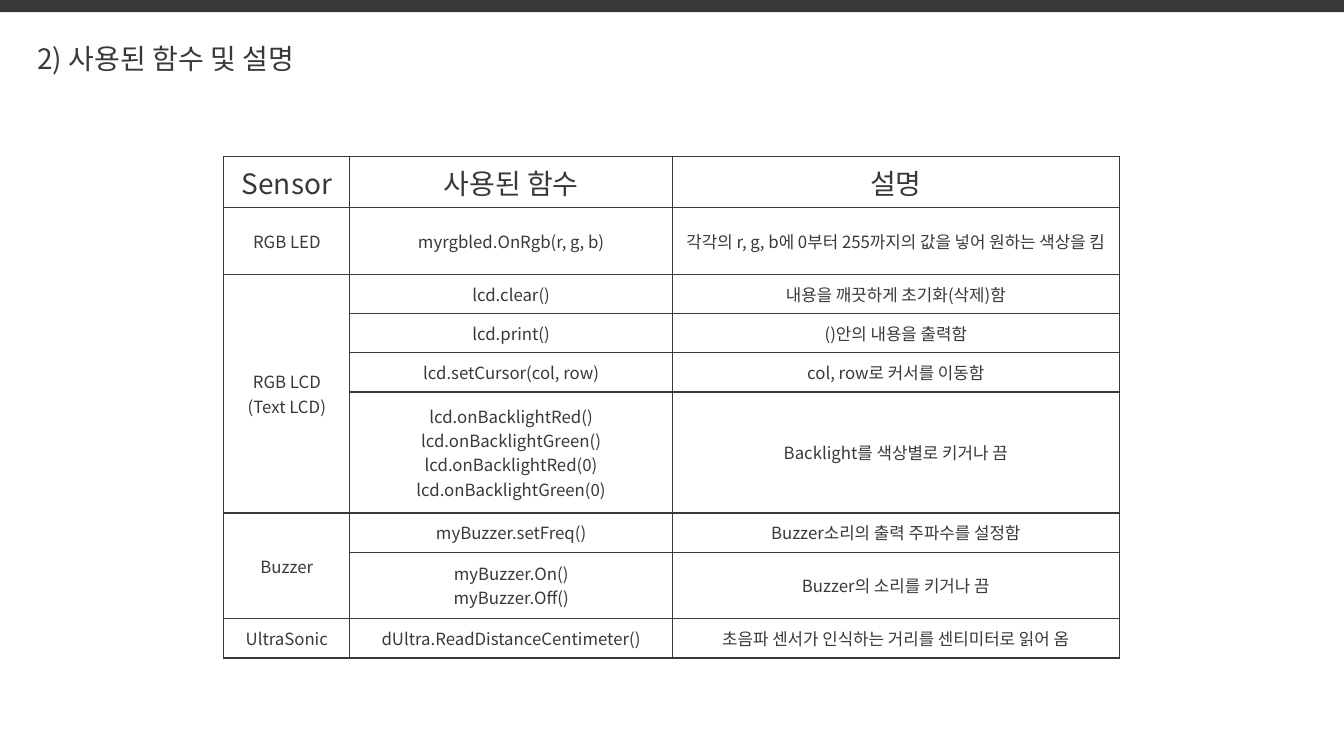
import pptx
import pptx.util
import pptx.dml.color
import pptx.enum.shapes
import pptx.enum.text
import lxml.etree
from pptx.oxml.ns import qn

INK = pptx.dml.color.RGBColor(0x3A, 0x38, 0x38)
FONT = "Noto Sans CJK KR"
Inch = pptx.util.Inches
Align = pptx.enum.text.PP_ALIGN
Anchor = pptx.enum.text.MSO_ANCHOR


def style(para, size, align):
    para.alignment = align
    para.font.size = pptx.util.Pt(size)
    para.font.color.rgb = INK
    para.font.name = FONT
    east = lxml.etree.SubElement(para.font._element, qn("a:ea"))
    east.set("typeface", FONT)


def border(cell):
    props = cell._tc.get_or_add_tcPr()
    for spot, side in enumerate(("lnL", "lnR", "lnT", "lnB")):
        line = lxml.etree.Element(qn("a:" + side), w=str(pptx.util.Pt(1)))
        fill = lxml.etree.SubElement(line, qn("a:solidFill"))
        lxml.etree.SubElement(fill, qn("a:srgbClr"), val=str(INK))
        props.insert(spot, line)


deck = pptx.Presentation()
deck.slide_width, deck.slide_height = Inch(13.33), Inch(7.5)
slide = deck.slides.add_slide(deck.slide_layouts[5])

# Top band
band = slide.shapes.add_shape(
    pptx.enum.shapes.MSO_SHAPE.RECTANGLE, 0, 0, deck.slide_width, Inch(0.12))
band.shadow.inherit = False
band.fill.solid()
band.fill.fore_color.rgb = INK
band.line.fill.background()

# Title
title = slide.shapes.title
title.left, title.top = Inch(0.32), Inch(0.36)
title.width, title.height = Inch(4.28), Inch(0.44)
frame = title.text_frame
frame.text = "2) 사용된 함수 및 설명"
frame.auto_size = pptx.enum.text.MSO_AUTO_SIZE.NONE
frame.vertical_anchor = Anchor.TOP
frame.margin_left = frame.margin_right = Inch(0.05)
frame.margin_top = frame.margin_bottom = Inch(0.05)
style(frame.paragraphs[0], 20, Align.LEFT)

# Table text: an empty sensor continues the one above
rows = [
    ("Sensor", "사용된 함수", "설명"),
    ("RGB LED", "myrgbled.OnRgb(r, g, b)",
     "각각의 r, g, b에 0부터 255까지의 값을 넣어 원하는 색상을 킴"),
    ("RGB LCD\n(Text LCD)", "lcd.clear()", "내용을 깨끗하게 초기화(삭제)함"),
    ("", "lcd.print()", "()안의 내용을 출력함"),
    ("", "lcd.setCursor(col, row)", "col, row로 커서를 이동함"),
    ("", "lcd.onBacklightRed()\nlcd.onBacklightGreen()\n"
     "lcd.onBacklightRed(0)\nlcd.onBacklightGreen(0)",
     "Backlight를 색상별로 키거나 끔"),
    ("Buzzer", "myBuzzer.setFreq()", "Buzzer소리의 출력 주파수를 설정함"),
    ("", "myBuzzer.On()\nmyBuzzer.Off()", "Buzzer의 소리를 키거나 끔"),
    ("UltraSonic", "dUltra.ReadDistanceCentimeter()",
     "초음파 센서가 인식하는 거리를 센티미터로 읽어 옴"),
]
widths = [1.25, 3.2, 4.43]
lines = [1, 2, 1, 1, 1, 4, 1, 2, 1]
heights = [0.51] + [0.12 + 0.27 * count for count in lines[1:]]

# Table grid
table = slide.shapes.add_table(
    len(rows), len(widths), Inch(2.22), Inch(1.55),
    Inch(sum(widths)), Inch(sum(heights))).table
for col, width in zip(table.columns, widths):
    col.width = Inch(width)
for row, height in zip(table.rows, heights):
    row.height = Inch(height)

# Table cells
for r, texts in enumerate(rows):
    for c, text in enumerate(texts):
        cell = table.cell(r, c)
        cell.fill.background()
        border(cell)
        cell.vertical_anchor = Anchor.MIDDLE
        cell.text = text
        for para in cell.text_frame.paragraphs:
            style(para, 20 if r == 0 else 12, Align.CENTER)
            para.font.bold = False

# Sensors that span several rows
for first, last in ((2, 5), (6, 7)):
    table.cell(first, 0).merge(table.cell(last, 0))

deck.save("out.pptx")
